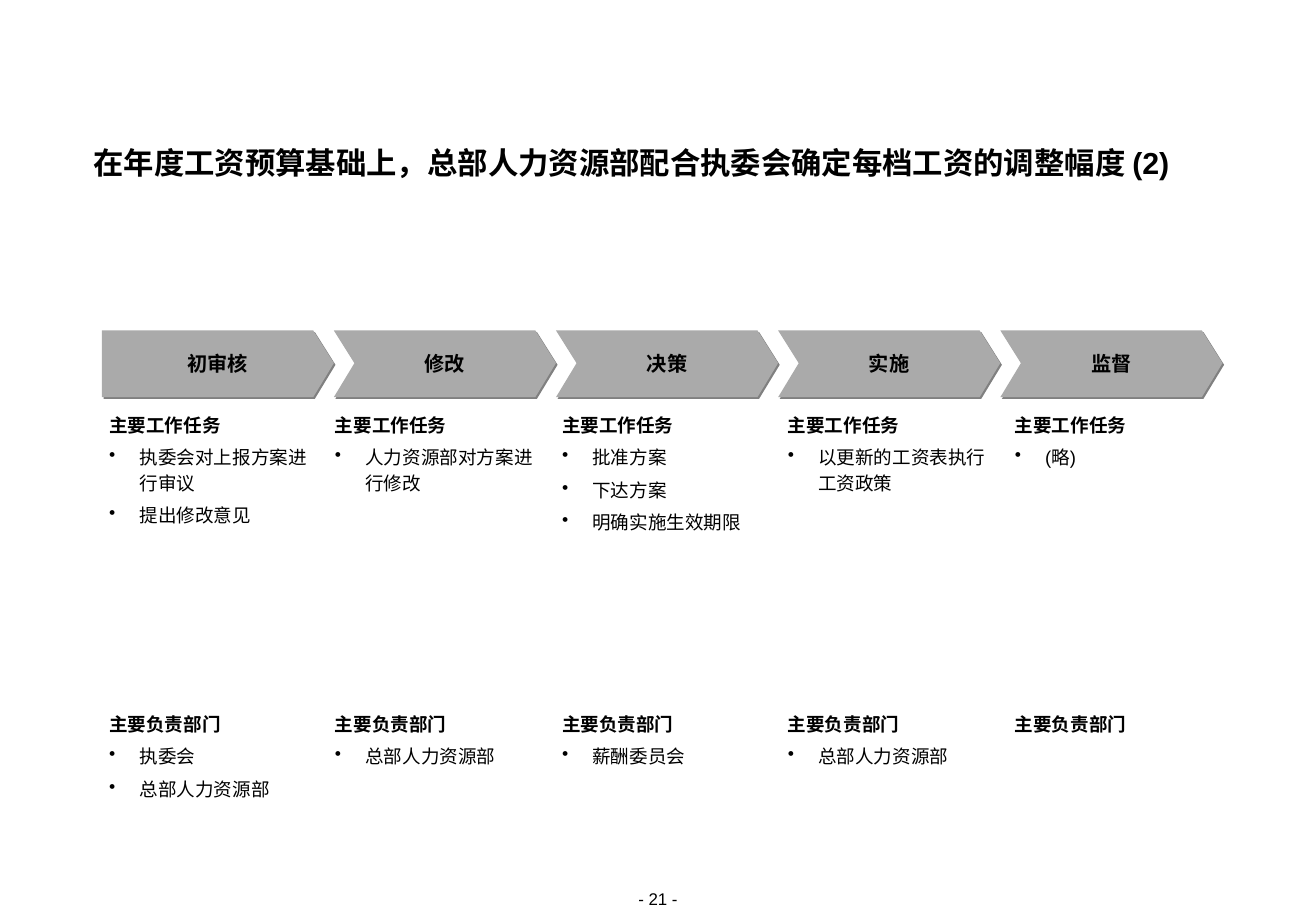
from dataclasses import dataclass

from lxml import etree
from pptx import Presentation
from pptx import util as u
from pptx.dml import color
from pptx.enum import text
from pptx.oxml import ns

PX = 9144


@dataclass(frozen=True)
class Theme:
    font: str = "Arial"
    ink: str = "000000"
    arrow: str = "AAAAAA"
    shadow: str = "808080"
    title_size: int = 18
    stage_size: int = 12
    list_size: int = 11
    footer_size: int = 10


THEME = Theme()

STAGES = [
    ("初审核", ["执委会对上报方案进行审议", "提出修改意见"], ["执委会", "总部人力资源部"]),
    ("修改", ["人力资源部对方案进行修改"], ["总部人力资源部"]),
    ("决策", ["批准方案", "下达方案", "明确实施生效期限"], ["薪酬委员会"]),
    ("实施", ["以更新的工资表执行工资政策"], ["总部人力资源部"]),
    ("监督", ["(略)"], []),
]


def add_element(parent, tag, **attributes):
    return etree.SubElement(parent, ns.qn(tag), attributes)


def style_para(para, size, bold=False, align=text.PP_ALIGN.LEFT):
    para.alignment = align
    para.font.name = THEME.font
    para.font.size = u.Pt(size)
    para.font.bold = bold
    para.font.color.rgb = color.RGBColor.from_string(THEME.ink)


def prepare_frame(frame, wrap=True, anchor=text.MSO_ANCHOR.TOP):
    frame.margin_left = frame.margin_top = frame.margin_right = frame.margin_bottom = 0
    frame.auto_size = text.MSO_AUTO_SIZE.NONE
    frame.word_wrap = wrap
    frame.vertical_anchor = anchor


def add_text_box(page, box):
    frame = page.shapes.add_textbox(*(length * PX for length in box)).text_frame
    prepare_frame(frame)
    return frame


def add_title(page, box, words):
    title = page.shapes.title
    title.left, title.top, title.width, title.height = (length * PX for length in box)
    prepare_frame(title.text_frame)
    para = title.text_frame.paragraphs[0]
    para.text = words
    para.line_spacing = u.Pt(20)
    style_para(para, THEME.title_size, bold=True)


def add_hard_shadow(shape):
    effects = add_element(shape.element.spPr, "a:effectLst")
    shadow = add_element(effects, "a:outerShdw", dist=str(u.Pt(1.4)), dir="2700000",
                         algn="ctr", rotWithShape="0")
    add_element(shadow, "a:srgbClr", val=THEME.shadow)


def add_stage_arrow(page, box, words, notched):
    left, top, width, height = box
    right, middle, bottom = left + width, top + height // 2, top + height
    tip = 17
    outline = [(right - tip, top), (right, middle), (right - tip, bottom), (left, bottom)]
    if notched:
        outline.append((left + tip, middle))
    builder = page.shapes.build_freeform(left, top, scale=PX)
    builder.add_line_segments(outline, close=True)
    arrow = builder.convert_to_shape()
    arrow.fill.solid()
    arrow.fill.fore_color.rgb = color.RGBColor.from_string(THEME.arrow)
    arrow.line.fill.background()
    add_hard_shadow(arrow)
    prepare_frame(arrow.text_frame, wrap=False, anchor=text.MSO_ANCHOR.MIDDLE)
    para = arrow.text_frame.paragraphs[0]
    para.text = words
    para.line_spacing = u.Pt(14)
    style_para(para, THEME.stage_size, bold=True, align=text.PP_ALIGN.CENTER)


def add_bullet(para):
    properties = para._p.get_or_add_pPr()
    properties.set("marL", str(25 * PX))
    properties.set("indent", str(-25 * PX))
    bullet_color = add_element(properties, "a:buClr")
    add_element(bullet_color, "a:srgbClr", val=THEME.ink)
    add_element(properties, "a:buChar", char="•")


def add_headed_list(page, box, heading, items):
    frame = add_text_box(page, box)
    para = frame.paragraphs[0]
    para.text = heading
    para.line_spacing = 1.15
    style_para(para, THEME.list_size, bold=True)
    for item in items:
        para = frame.add_paragraph()
        para.text = item
        add_bullet(para)
        para.line_spacing = 1.15
        para.space_before = u.Pt(4.1)
        style_para(para, THEME.list_size)


def add_process(page, box):
    left, top, width, height = box
    pitch, lead = 183, 8
    for index, (stage, tasks, owners) in enumerate(STAGES):
        start = left + lead + index * pitch if index else left
        end = left + lead + (index + 1) * pitch
        add_stage_arrow(page, (start, top, end - start, 55), stage, notched=index > 0)
        column = left + 6 + index * (width + 10) // 5
        add_headed_list(page, (column, top + 66, 166, 102), "主要工作任务", tasks)
        add_headed_list(page, (column, top + height - 75, 166, 75), "主要负责部门", owners)


def add_page_number(page, box, words):
    para = add_text_box(page, box).paragraphs[0]
    para.text = words
    style_para(para, THEME.footer_size, align=text.PP_ALIGN.CENTER)


def main():
    deck = Presentation()
    deck.slide_width, deck.slide_height = 1084 * PX, 750 * PX
    page = deck.slides.add_slide(deck.slide_layouts[5])
    add_title(page, (77, 121, 933, 28),
              "在年度工资预算基础上，总部人力资源部配合执委会确定每档工资的调整幅度 (2)")
    add_process(page, (84, 272, 923, 387))
    add_page_number(page, (485, 732, 114, 17), "- 21 -")
    deck.save("out.pptx")


if __name__ == "__main__":
    main()
